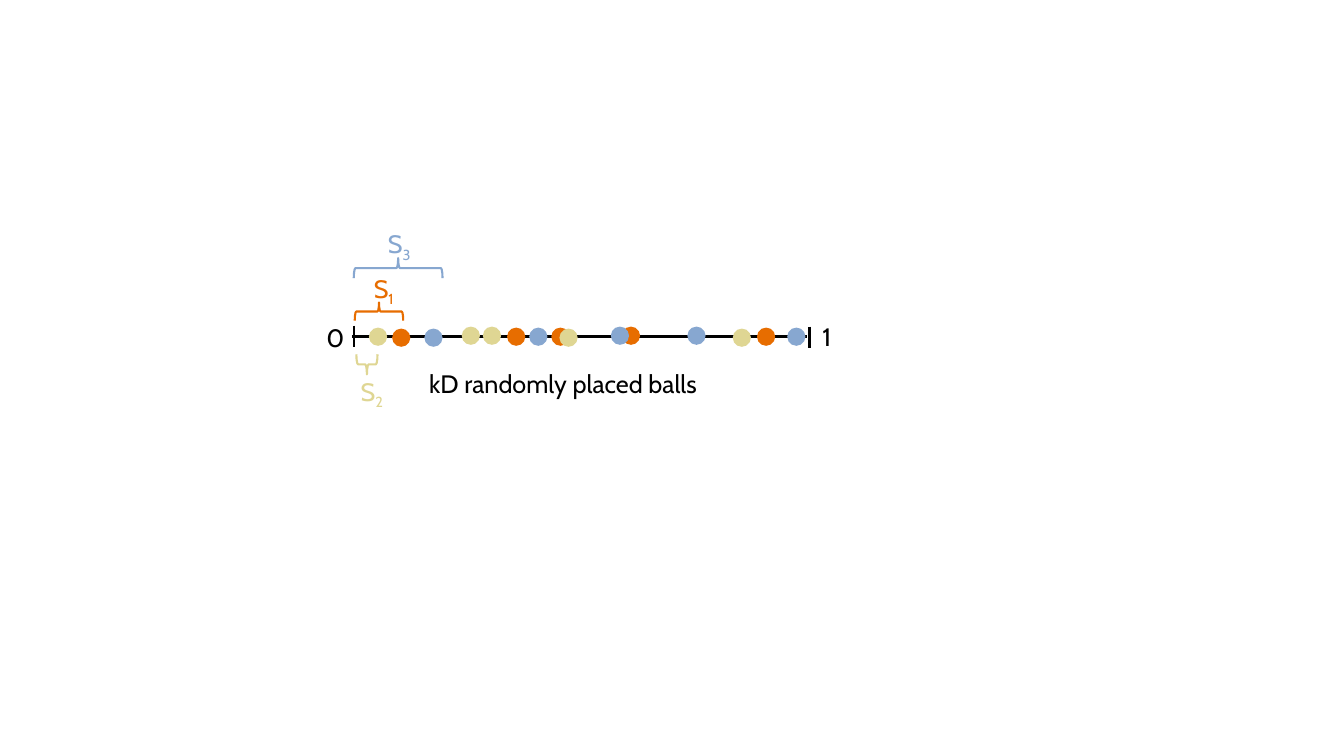
import pptx
import pptx.dml.color
import pptx.enum.shapes
import pptx.enum.text
import pptx.oxml.ns
import pptx.util
from lxml import etree

Pt = pptx.util.Pt
SHAPE = pptx.enum.shapes.MSO_SHAPE

BLACK = "000000"
BALL_SIZE = 13
LABEL_HEIGHT = 28.8
AXIS_LINES = [
    (251.3, 240.5, 576.7, 240.5),
    (252.7, 232.6, 252.7, 247.7),
    (578.2, 233.3, 578.2, 248.4),
]
AXIS_LABELS = [
    ("0", 226.1, 226.8, 26.6),
    ("1", 580.3, 226.1, 26.6),
    ("kD randomly placed balls", 299.5, 259.2, 247.7),
]
SETS = [
    {
        "index": "1", "color": "E76D00", "label": (259.9, 191.5),
        "brace": (264.2, 205.2, 13, 34.6), "turn": 90,
        "balls": [(280.1, 234.7), (362.2, 234), (393.8, 234), (540.7, 234), (444.2, 233.3)],
    },
    {
        "index": "3", "color": "87A7D0", "label": (270, 159.8),
        "brace": (277.2, 159.8, 14.4, 63.4), "turn": 90,
        "balls": [(303.1, 234.7), (378, 234), (436.3, 233.3), (491, 233.3), (562.3, 234)],
    },
    {
        "index": "2", "color": "DFD693", "label": (250.6, 265),
        "brace": (254.9, 252.7, 14.4, 15.1), "turn": 270,
        "balls": [(263.5, 234), (329.8, 233.3), (344.9, 233.3), (399.6, 234.7), (523.4, 234.7)],
    },
]

deck = pptx.Presentation()
deck.slide_width, deck.slide_height = Pt(960), Pt(540)
page = deck.slides.add_slide(deck.slide_layouts[6])


def rgb(color):
    return pptx.dml.color.RGBColor.from_string(color)


def add_line(ends):
    line = page.shapes.add_connector(
        pptx.enum.shapes.MSO_CONNECTOR.STRAIGHT, *map(Pt, ends))
    line.line.color.rgb = rgb(BLACK)
    line.line.width = Pt(1.75)
    etree.SubElement(line._element.spPr, pptx.oxml.ns.qn("a:effectLst"))


def add_label(text, left, top, width, color, subscript=None):
    box = page.shapes.add_textbox(*map(Pt, (left, top, width, LABEL_HEIGHT)))
    box.text_frame.word_wrap = True
    box.text_frame.auto_size = pptx.enum.text.MSO_AUTO_SIZE.SHAPE_TO_FIT_TEXT
    para = box.text_frame.paragraphs[0]
    para.font.name = "Cabin"
    para.font.size = Pt(18)
    para.font.color.rgb = rgb(color)
    para.add_run().text = text
    if subscript:
        span = para.add_run()
        span.text = subscript
        span._r.get_or_add_rPr().set("baseline", "-25000")


def add_ball(left, top, color):
    ball = page.shapes.add_shape(SHAPE.OVAL, *map(Pt, (left, top, BALL_SIZE, BALL_SIZE)))
    ball.shadow.inherit = False
    ball.fill.solid()
    ball.fill.fore_color.rgb = rgb(color)
    ball.line.fill.background()


def add_brace(frame, turn, color):
    brace = page.shapes.add_shape(SHAPE.LEFT_BRACE, *map(Pt, frame))
    brace.shadow.inherit = False
    brace.rotation = turn
    brace.fill.background()
    brace.line.color.rgb = rgb(color)
    brace.line.width = Pt(1.5)


for ends in AXIS_LINES:
    add_line(ends)
for text, left, top, width in AXIS_LABELS:
    add_label(text, left, top, width, BLACK)
for group in SETS:
    for left, top in group["balls"]:
        add_ball(left, top, group["color"])
    add_brace(group["brace"], group["turn"], group["color"])
    add_label("S", *group["label"], 38.2, group["color"], group["index"])

deck.save("out.pptx")
